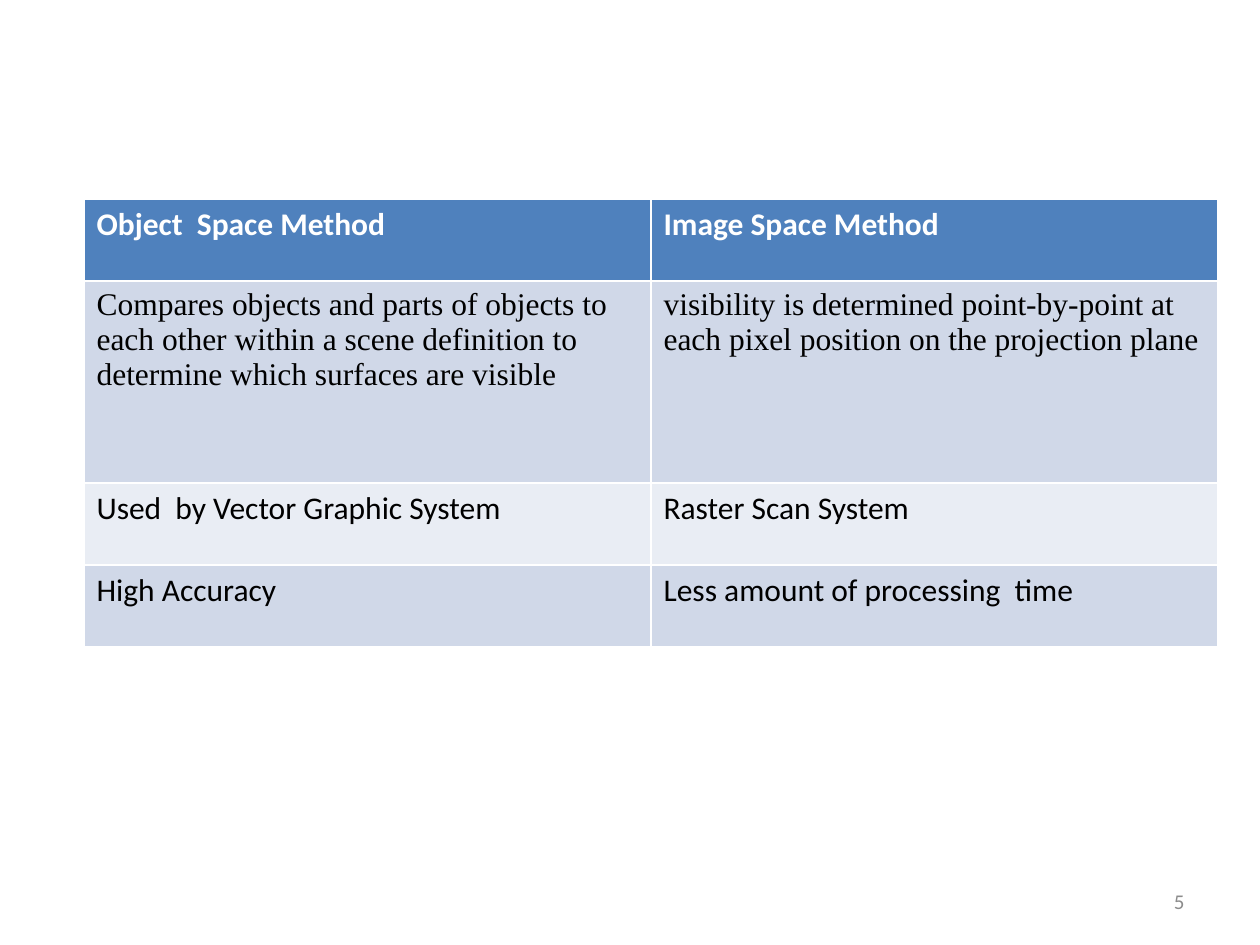
from pptx import Presentation
from pptx.dml.color import RGBColor
from pptx.enum.text import MSO_ANCHOR, PP_ALIGN
from pptx.util import Emu, Pt

MIDDLE = MSO_ANCHOR.MIDDLE
RIGHT = PP_ALIGN.RIGHT
WHITE = RGBColor(0xFF, 0xFF, 0xFF)
BLACK = RGBColor(0x00, 0x00, 0x00)
GRAY = RGBColor(0x8C, 0x8C, 0x8C)
BLUE = RGBColor(0x4F, 0x81, 0xBD)
BAND_DARK = RGBColor(0xD0, 0xD8, 0xE8)
BAND_LIGHT = RGBColor(0xE9, 0xED, 0xF4)


def px(n):
    return Emu(round(n * 914400 / 126))


def add_run(paragraph, text, size, font_name, color, bold=False):
    run = paragraph.add_run()
    run.text = text
    run.font.size = Pt(size)
    run.font.name = font_name
    run.font.color.rgb = color
    run.font.bold = bold


prs = Presentation()
prs.slide_width = px(1260)
prs.slide_height = px(945)
slide = prs.slides.add_slide(prs.slide_layouts[6])

methods = [
    (82, BLUE, WHITE, "Calibri",
     ["Object  Space Method", "Image Space Method"]),
    (202, BAND_DARK, BLACK, "Times New Roman",
     ["Compares objects and parts of objects to each other within a scene "
      "definition to determine which surfaces are visible",
      "visibility is determined point-by-point at each pixel position on "
      "the projection plane"]),
    (82, BAND_LIGHT, BLACK, "Calibri",
     ["Used  by Vector Graphic System", "Raster Scan System"]),
    (82, BAND_DARK, BLACK, "Calibri",
     ["High Accuracy", "Less amount of processing  time"]),
]

total_height = sum(method[0] for method in methods)
comparison = slide.shapes.add_table(
    len(methods), 2, px(84), px(199), px(1134), px(total_height)).table
for column in comparison.columns:
    column.width = px(567)

for r, (height, fill, color, font_name, texts) in enumerate(methods):
    comparison.rows[r].height = px(height)
    for c, text in enumerate(texts):
        cell = comparison.cell(r, c)
        cell.fill.solid()
        cell.fill.fore_color.rgb = fill
        add_run(cell.text_frame.paragraphs[0], text, 18, font_name, color,
                bold=r == 0)

page_number = slide.shapes.add_textbox(px(903), px(876), px(294), px(50)).text_frame
page_number.word_wrap = True
page_number.vertical_anchor = MIDDLE
page_number.paragraphs[0].alignment = RIGHT
add_run(page_number.paragraphs[0], "5", 12, "Calibri", GRAY)

prs.save("out.pptx")
